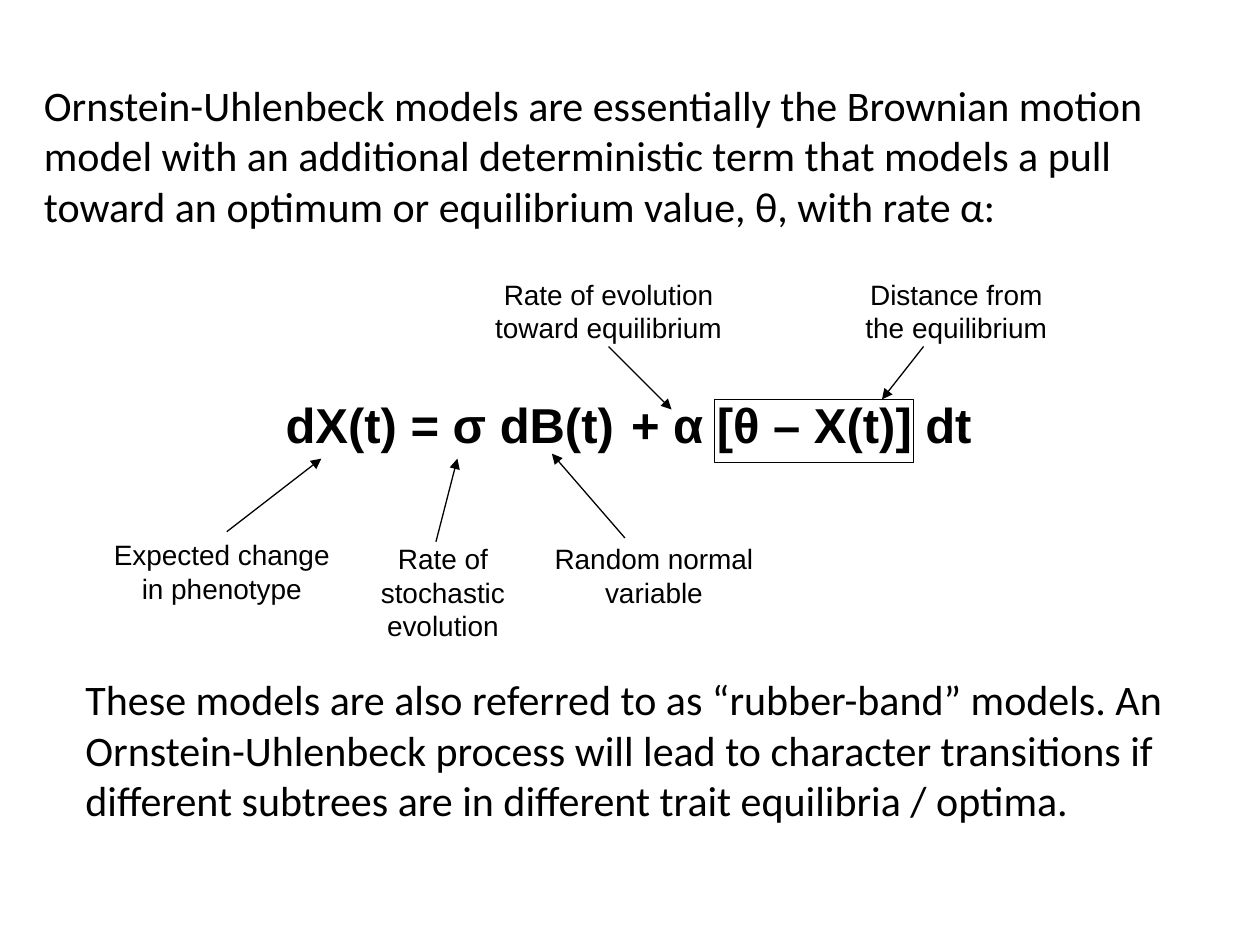
"""Build a slide that explains the terms of the Ornstein-Uhlenbeck model."""
from dataclasses import dataclass
from typing import Optional

from lxml.etree import SubElement as Sub
from pptx import Presentation
from pptx.dml.color import RGBColor as Color
from pptx.enum.shapes import MSO_CONNECTOR as Link, MSO_SHAPE as Form
from pptx.enum.text import MSO_AUTO_SIZE as Fit, PP_ALIGN as Align
from pptx.oxml.ns import qn
from pptx.util import Inches, Pt

COLS, ROWS = 100, 75
WIDE, HIGH = Inches(10), Inches(7.5)


@dataclass(frozen=True)
class Theme:
    """Colours, line width and text formats."""
    ink: Color = Color(0, 0, 0)
    line: Pt = Pt(0.75)
    body: tuple = (("name", "Calibri"), ("size", Pt(24)))
    math: tuple = (("name", "Arial"), ("size", Pt(28)), ("bold", True))
    note: tuple = (("name", "Arial"), ("size", Pt(16)))


@dataclass(frozen=True)
class Box:
    """An area in grid columns and rows."""
    col: float
    row: float
    cols: float
    rows: float


@dataclass(frozen=True)
class Block:
    """A text with its area and format."""
    text: str
    box: Box
    font: tuple
    align: Align = Align.LEFT
    wrap: bool = True


@dataclass(frozen=True)
class Note:
    """A label with an arrow to a term, which may be framed."""
    text: str
    box: Box
    start: tuple
    end: tuple
    frame: Optional[Box] = None


THEME = Theme()

BLOCKS = (
    Block("Ornstein-Uhlenbeck models are essentially the Brownian motion model "
          "with an additional deterministic term that models a pull toward an "
          "optimum or equilibrium value, θ, with rate α:",
          Box(2.5, 5.8, 94.2, 17), THEME.body),
    Block("+ α [θ – X(t)] dt", Box(46, 30.8, 35.2, 5.7), THEME.math, Align.CENTER),
    Block("These models are also referred to as “rubber-band” models. An "
          "Ornstein-Uhlenbeck process will lead to character transitions if "
          "different subtrees are in different trait equilibria / optima.",
          Box(5.8, 53, 88.3, 17), THEME.body),
    Block("dX(t) = σ dB(t)", Box(18.6, 30.8, 34.2, 5.7), THEME.math, Align.CENTER),
)

NOTES = (
    Note("Expected change\vin phenotype", Box(8, 42.2, 19.2, 6.4),
         (18, 42.2), (25.5, 36.4)),
    Note("Rate of\nstochastic\vevolution", Box(29.2, 42.5, 11.9, 9),
         (34.6, 43), (36.3, 36.4)),
    Note("Random normal\nvariable", Box(43, 42.5, 17.8, 6.4),
         (49.6, 42.7), (43.8, 36)),
    Note("Rate of evolution\vtoward equilibrium", Box(38.3, 21.5, 20, 6.4),
         (48.3, 27.5), (53.3, 32.5)),
    Note("Distance from\nthe equilibrium", Box(67.7, 21.5, 16.4, 6.4),
         (73.3, 27.5), (70, 31.7), Box(56.7, 31.7, 15.8, 5)),
)


def spot(col: float, row: float) -> tuple:
    """Turn grid columns and rows into slide lengths."""
    return round(WIDE * col / COLS), round(HIGH * row / ROWS)


def area(box: Box) -> tuple:
    """Turn a grid area into left, top, width and height."""
    return spot(box.col, box.row) + spot(box.cols, box.rows)


def write(shapes, block: Block) -> None:
    """Add a text box."""
    frame = shapes.add_textbox(*area(block.box)).text_frame
    frame.word_wrap = block.wrap
    frame.auto_size = Fit.SHAPE_TO_FIT_TEXT
    frame.text = block.text
    for para in frame.paragraphs:
        para.alignment = block.align
        for run in para.runs:
            run.font.color.rgb = THEME.ink
            for key, value in block.font:
                setattr(run.font, key, value)


def ink(line) -> None:
    """Give a line the theme's colour and width."""
    line.color.rgb = THEME.ink
    line.width = THEME.line


def point(shapes, start: tuple, end: tuple) -> None:
    """Add an arrow."""
    arrow = shapes.add_connector(Link.STRAIGHT, *spot(*start), *spot(*end))
    ink(arrow.line)
    Sub(arrow.line._get_or_add_ln(), qn("a:tailEnd"), type="triangle")
    Sub(arrow._element.spPr, qn("a:effectLst"))


def border(shapes, box: Box) -> None:
    """Add an empty frame."""
    rect = shapes.add_shape(Form.RECTANGLE, *area(box))
    rect.shadow.inherit = False
    rect.fill.background()
    ink(rect.line)


def label(shapes, note: Note) -> None:
    """Add a grouped label, arrow and optional frame."""
    group = shapes.add_group_shape().shapes
    if note.frame:
        border(group, note.frame)
    write(group, Block(note.text, note.box, THEME.note, Align.CENTER, False))
    point(group, note.start, note.end)


def main() -> None:
    """Build and save the slide."""
    deck = Presentation()
    deck.slide_width, deck.slide_height = WIDE, HIGH
    shapes = deck.slides.add_slide(deck.slide_layouts[6]).shapes
    for block in BLOCKS:
        write(shapes, block)
    for note in NOTES:
        label(shapes, note)
    deck.save("out.pptx")


if __name__ == "__main__":
    main()
